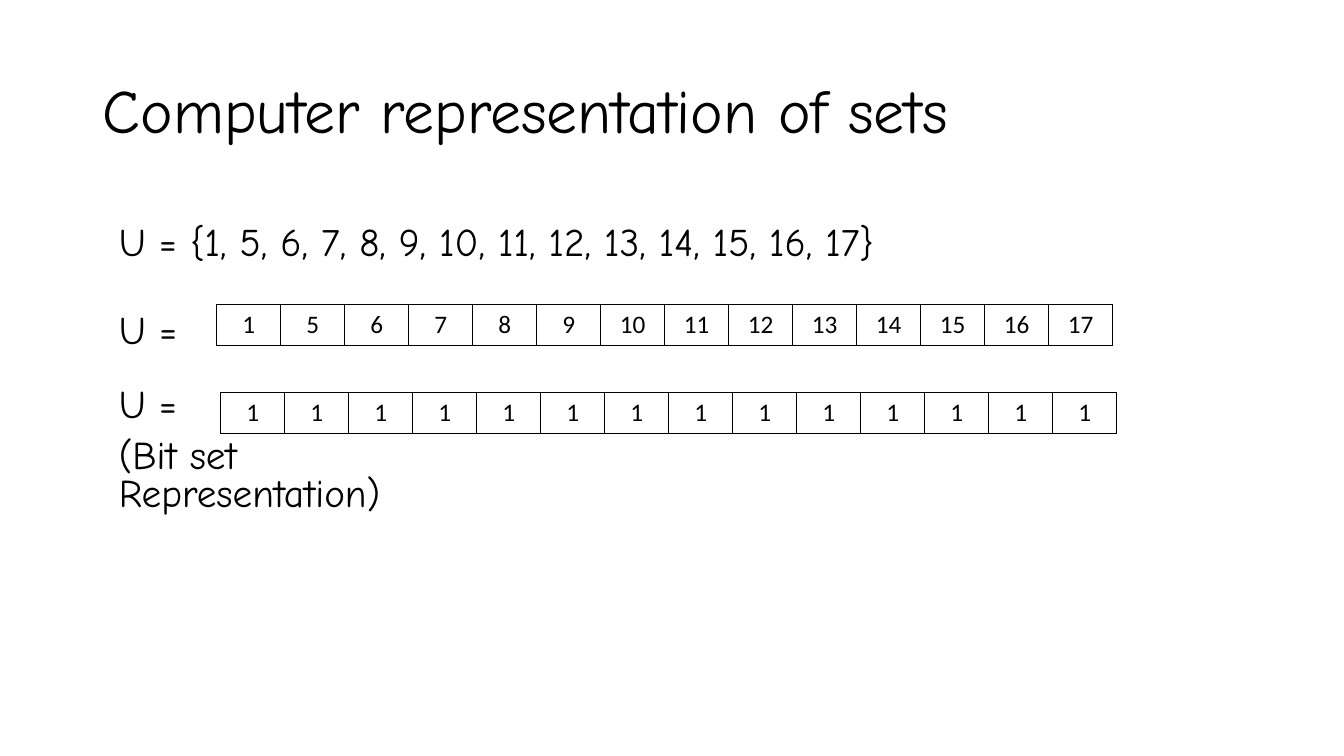
from dataclasses import dataclass

import pptx
import pptx.dml.color
import pptx.enum.text
import pptx.oxml.ns
import pptx.util
from lxml import etree
from pptx.util import Inches

BLACK = "000000"
WHITE = "FFFFFF"
HEADING_FONT = "Comic Neue"
CELL_FONT = "Calibri"
ROW_HEIGHT = 0.41
ROW_WIDTH = 8.89


@dataclass
class Label:
    left: float
    top: float
    width: float
    height: float
    lines: list[str]
    size: float = 28
    line_spacing: float = 0.9
    space_before: float = 10
    anchor: pptx.enum.text.MSO_ANCHOR = pptx.enum.text.MSO_ANCHOR.TOP


@dataclass
class NumberRow:
    left: float
    top: float
    values: list[int]


UNIVERSE = [1, *range(5, 18)]
TITLE = Label(0.92, 0.4, 11.5, 1.45, ["Computer representation of sets"], size=44,
              space_before=0, anchor=pptx.enum.text.MSO_ANCHOR.MIDDLE)
ARRAY_LABEL = Label(1.08, 3.03, 0.81, 0.58, ["U ="])
TEXT_BOXES = [
    Label(1.08, 2.16, 11.98, 0.58, [f"U = {{{', '.join(map(str, UNIVERSE))}}}"]),
    Label(1.08, 3.8, 3.42, 1.46, ["U =", "(Bit set Representation)"], line_spacing=0.8),
]
NUMBER_ROWS = [
    NumberRow(2.15, 3.02, UNIVERSE),
    NumberRow(2.19, 3.89, [1] * len(UNIVERSE)),
]


def color(value: str) -> pptx.dml.color.RGBColor:
    return pptx.dml.color.RGBColor.from_string(value)


def format_paragraph(paragraph, font_name: str, size: float, alignment) -> None:
    paragraph.alignment = alignment
    for run in paragraph.runs:
        run.font.name = font_name
        run.font.size = pptx.util.Pt(size)
        run.font.color.rgb = color(BLACK)


def fill_label(shape, label: Label) -> None:
    shape.left, shape.top = Inches(label.left), Inches(label.top)
    shape.width, shape.height = Inches(label.width), Inches(label.height)
    text_frame = shape.text_frame
    text_frame.text = "\n".join(label.lines)
    text_frame.word_wrap = True
    text_frame.auto_size = pptx.enum.text.MSO_AUTO_SIZE.NONE
    text_frame.vertical_anchor = label.anchor
    for paragraph in text_frame.paragraphs:
        format_paragraph(paragraph, HEADING_FONT, label.size, pptx.enum.text.PP_ALIGN.LEFT)
        paragraph.line_spacing = label.line_spacing
        paragraph.space_before = pptx.util.Pt(label.space_before)
        # Remove the bullet and its indent
        properties = paragraph._p.get_or_add_pPr()
        properties.set("marL", "0")
        properties.set("indent", "0")
        etree.SubElement(properties, pptx.oxml.ns.qn("a:buNone"))


def add_borders(cell) -> None:
    properties = cell._tc.get_or_add_tcPr()
    for position, side in enumerate(("lnL", "lnR", "lnT", "lnB")):
        line = etree.Element(pptx.oxml.ns.qn(f"a:{side}"), w=str(pptx.util.Pt(1)))
        fill = etree.SubElement(line, pptx.oxml.ns.qn("a:solidFill"))
        etree.SubElement(fill, pptx.oxml.ns.qn("a:srgbClr"), val=BLACK)
        properties.insert(position, line)


def add_number_row(slide, row: NumberRow) -> None:
    count = len(row.values)
    table = slide.shapes.add_table(1, count, Inches(row.left), Inches(row.top),
                                   Inches(ROW_WIDTH), Inches(ROW_HEIGHT)).table
    table.first_row = False
    table.horz_banding = False
    for column, value in enumerate(row.values):
        table.columns[column].width = Inches(ROW_WIDTH / count)
        cell = table.cell(0, column)
        cell.text_frame.text = str(value)
        format_paragraph(cell.text_frame.paragraphs[0], CELL_FONT, 18,
                         pptx.enum.text.PP_ALIGN.CENTER)
        cell.fill.solid()
        cell.fill.fore_color.rgb = color(WHITE)
        add_borders(cell)


def main() -> None:
    presentation = pptx.Presentation()
    presentation.slide_width = Inches(13.33)
    presentation.slide_height = Inches(7.5)
    slide = presentation.slides.add_slide(presentation.slide_layouts[1])

    # Title and array label
    fill_label(slide.shapes.title, TITLE)
    fill_label(slide.placeholders[1], ARRAY_LABEL)

    # Element array and bit set
    for row in NUMBER_ROWS:
        add_number_row(slide, row)

    # Set notation and bit set label
    for label in TEXT_BOXES:
        text_box = slide.shapes.add_textbox(0, 0, 0, 0)
        fill_label(text_box, label)

    presentation.save("out.pptx")


if __name__ == "__main__":
    main()
